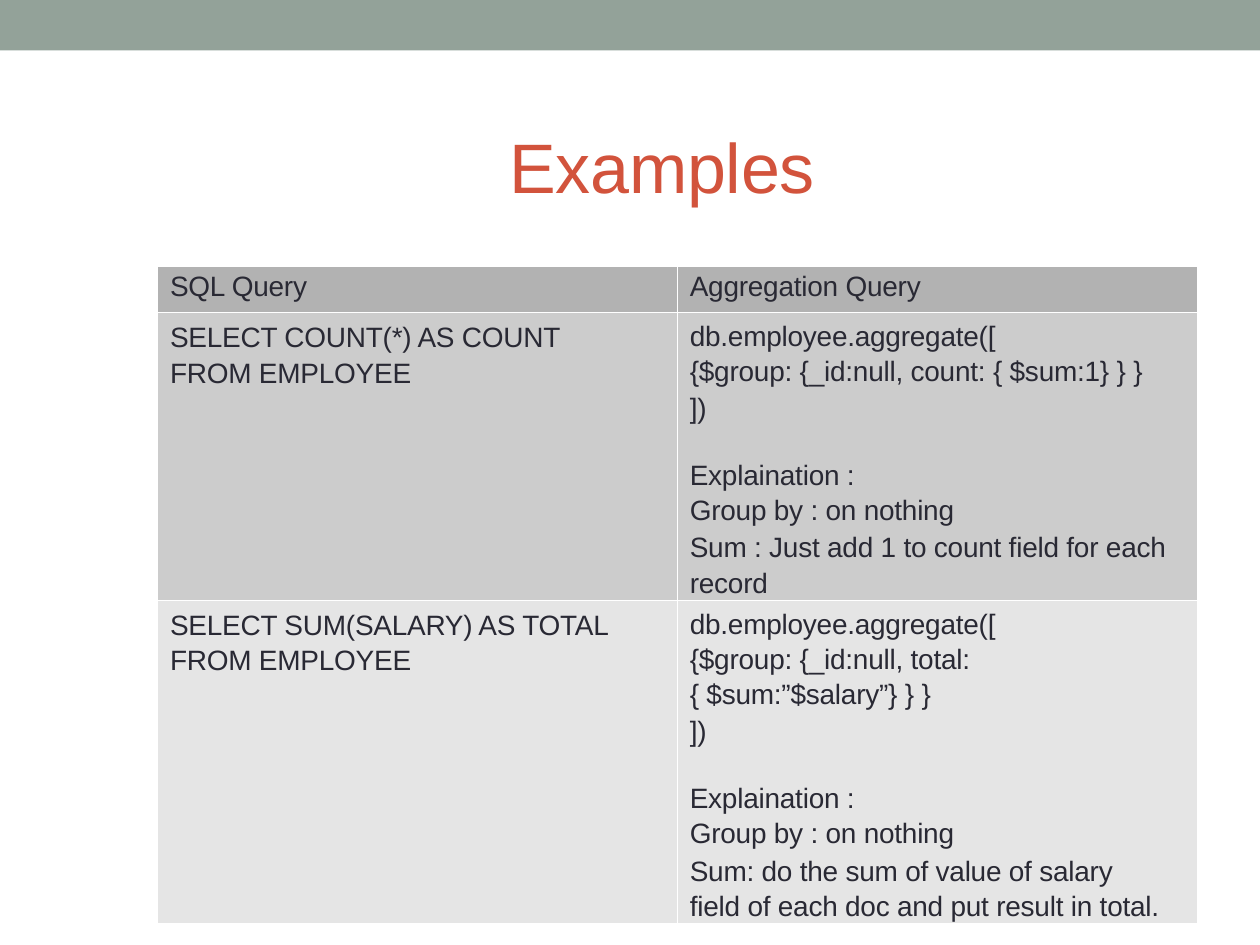
from dataclasses import dataclass

from lxml.etree import SubElement
from pptx import Presentation
from pptx.dml.color import RGBColor
from pptx.enum.shapes import MSO_SHAPE
from pptx.enum.text import MSO_ANCHOR, MSO_AUTO_SIZE, PP_ALIGN
from pptx.oxml.ns import qn
from pptx.util import Pt

GREEN, RED, INK, WHITE = "93A299", "D2533C", "292934", "FFFFFF"
COLUMN_WIDTH = 297
EXPLANATION_GAP = 17.5


@dataclass(frozen=True)
class Line:
    text: str
    spacing: float = 20.1
    before: float = 0


@dataclass(frozen=True)
class Row:
    height: float
    fill: str
    sql: list[Line]
    aggregation: list[Line]
    sql_margin: float = 3.6


def color(value: str) -> RGBColor:
    """Turn a hex string into a colour."""
    return RGBColor.from_string(value)


def apply(target: object, values: dict) -> None:
    """Set every attribute named in the values."""
    for name, value in values.items():
        setattr(target, name, value)


def write(paragraph, text: str, size: float, ink: str) -> None:
    """Write slightly condensed text into a paragraph."""
    paragraph.text = text
    for run in paragraph.runs:
        apply(run.font, {"name": "Arial", "size": Pt(size), "bold": False})
        run.font.color.rgb = color(ink)
        run._r.get_or_add_rPr().set("spc", "-10")


def add_borders(cell) -> None:
    """Give a cell thin white borders ahead of its fill."""
    properties = cell._tc.get_or_add_tcPr()
    for side in ("lnL", "lnR", "lnT", "lnB"):
        border = SubElement(properties, qn(f"a:{side}"), w=str(Pt(0.25)))
        fill = SubElement(border, qn("a:solidFill"))
        SubElement(fill, qn("a:srgbClr"), val=WHITE)


def fill_cell(cell, lines: list[Line], fill: str, top: float) -> None:
    """Format a cell and write its lines."""
    apply(cell, {
        "margin_left": Pt(7.2), "margin_right": 0,
        "margin_top": Pt(top), "margin_bottom": 0,
        "vertical_anchor": MSO_ANCHOR.TOP,
    })
    add_borders(cell)
    cell.fill.solid()
    cell.fill.fore_color.rgb = color(fill)
    frame = cell.text_frame
    for index, line in enumerate(lines):
        paragraph = frame.add_paragraph() if index else frame.paragraphs[0]
        apply(paragraph, {
            "line_spacing": Pt(line.spacing), "space_before": Pt(line.before),
        })
        write(paragraph, line.text, 16, INK)


def aggregation(stages: list[Line], explanation: Line) -> list[Line]:
    """Wrap pipeline stages in the call and append the explanation."""
    return [
        Line("db.employee.aggregate([", 20.9),
        *stages,
        Line("])", 20.9),
        Line("Explaination :", 20.9, EXPLANATION_GAP),
        Line("Group by : on nothing"),
        explanation,
    ]


ROWS = [
    Row(26, "B2B2B2", [Line("SQL Query", 18.4)],
        [Line("Aggregation Query", 18.4)], 2.2),
    Row(164.5, "CCCCCC",
        [Line("SELECT COUNT(*) AS COUNT\vFROM EMPLOYEE", 20.2)],
        aggregation(
            [Line("{$group: {_id:null, count: { $sum:1} } }")],
            Line("Sum : Just add 1 to count field for each\vrecord", 20.2, 1.1))),
    Row(184.5, "E5E5E5",
        [Line("SELECT SUM(SALARY) AS TOTAL\vFROM EMPLOYEE")],
        aggregation(
            [Line("{$group: {_id:null, total:"),
             Line("{ $sum:”$salary”} } }", 20.2)],
            Line("Sum: do the sum of value of salary\v"
                 "field of each doc and put result in total.", 20.1, 1.2))),
]


def add_band(slide) -> None:
    """Draw the band along the top edge."""
    band = slide.shapes.add_shape(MSO_SHAPE.RECTANGLE, 0, 0, Pt(720), Pt(28.8))
    band.shadow.inherit = False
    band.fill.solid()
    band.fill.fore_color.rgb = color(GREEN)
    band.line.fill.background()


def add_title(slide, text: str) -> None:
    """Place and format the title."""
    title = slide.shapes.title
    apply(title, {
        "left": Pt(291), "top": Pt(67.7), "width": Pt(178), "height": Pt(49.7),
    })
    apply(title.text_frame, {
        "margin_left": 0, "margin_right": 0, "margin_top": Pt(4),
        "margin_bottom": 0, "word_wrap": True,
        "auto_size": MSO_AUTO_SIZE.NONE, "vertical_anchor": MSO_ANCHOR.MIDDLE,
    })
    paragraph = title.text_frame.paragraphs[0]
    paragraph.alignment = PP_ALIGN.LEFT
    write(paragraph, text, 40, RED)


def add_query_table(slide, rows: list[Row]) -> None:
    """Build the table that pairs each SQL query with its aggregation."""
    table = slide.shapes.add_table(
        len(rows), 2, Pt(90), Pt(152.3),
        Pt(2 * COLUMN_WIDTH), Pt(sum(row.height for row in rows))).table
    apply(table, {"first_row": False, "horz_banding": False})
    for column in table.columns:
        column.width = Pt(COLUMN_WIDTH)
    for index, row in enumerate(rows):
        table.rows[index].height = Pt(row.height)
        fill_cell(table.cell(index, 0), row.sql, row.fill, row.sql_margin)
        fill_cell(table.cell(index, 1), row.aggregation, row.fill, 2.2)


def main() -> None:
    """Build and save the slide."""
    presentation = Presentation()
    apply(presentation, {"slide_width": Pt(720), "slide_height": Pt(540)})
    slide = presentation.slides.add_slide(presentation.slide_layouts[5])
    add_band(slide)
    add_title(slide, "Examples")
    add_query_table(slide, ROWS)
    presentation.save("out.pptx")


if __name__ == "__main__":
    main()
